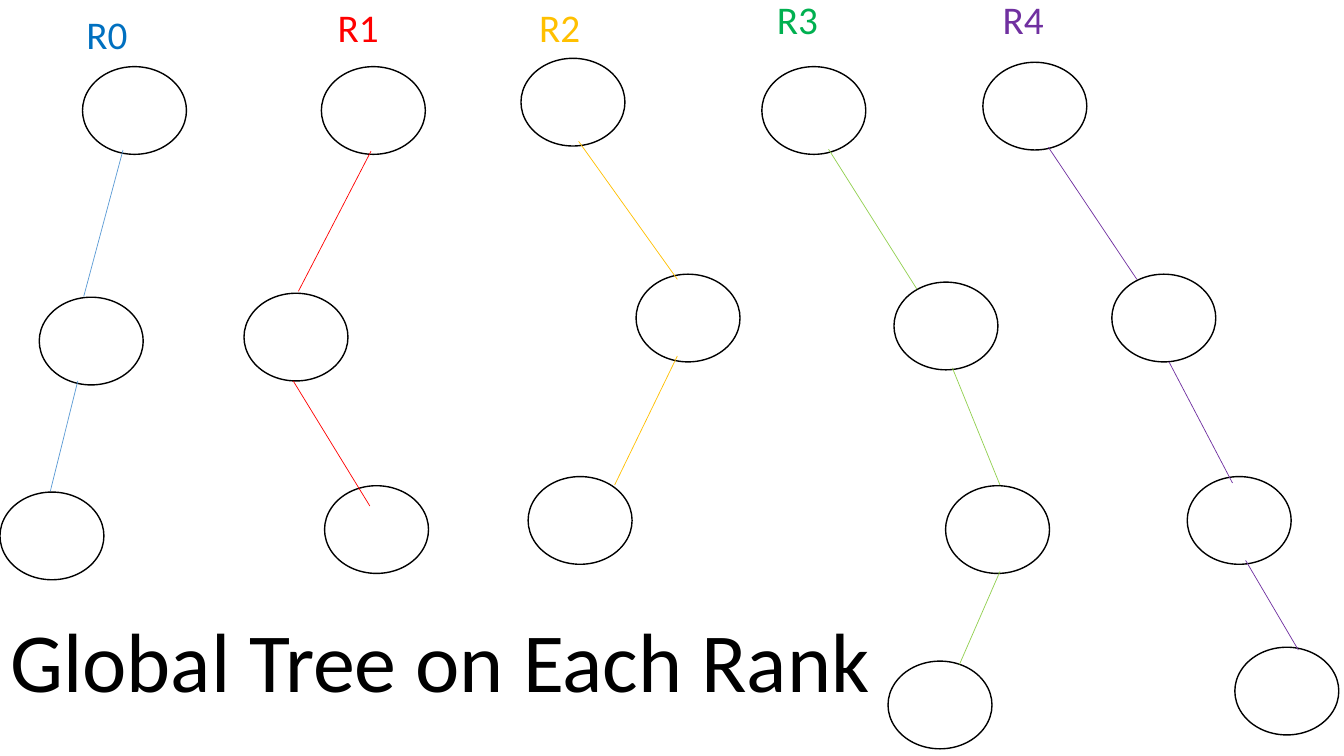
from lxml import etree
from pptx import Presentation
from pptx.dml.color import RGBColor
from pptx.enum import shapes, text
from pptx.oxml.ns import qn
from pptx.util import Cm, Pt

NODE = (2.62, 2.21)
TREES = [
    dict(box=(2.08, 1.68), name="R0", ink="0070C0", line="5B9BD5", tag=(-0.15, -1.55),
         nodes=[(0, 0), (-1.09, 5.81), (-2.08, 10.72)],
         edges=[(1.02, 2.1, 0.03, 5.79), (-0.12, 7.92, -0.81, 10.69)]),
    dict(box=(8.1, 1.68), name="R1", ink="FF0000", line="FF0000", tag=(0.16, -1.71),
         nodes=[(0, 0), (-1.95, 5.71), (0.08, 10.56)],
         edges=[(1.25, 2.13, -0.58, 5.66), (-0.71, 7.92, 1.22, 11.07)]),
    dict(box=(13.13, 1.47), name="R2", ink="FFC000", line="FFC000", tag=(0.21, -1.5),
         nodes=[(0, 0), (2.9, 5.44), (0.18, 10.54)],
         edges=[(1.45, 2.09, 3.94, 5.57), (3.94, 7.5, 2.36, 10.75)]),
    dict(box=(19.2, 1.68), name="R3", ink="00B050", line="92D050", tag=(0.13, -1.93),
         nodes=[(0, 0), (3.33, 5.43), (4.63, 10.56), (3.18, 14.98)],
         edges=[(1.68, 2.08, 3.91, 5.61), (4.8, 7.59, 6, 10.54), (6, 12.72, 4.98, 15.06)]),
    dict(box=(24.77, 1.57), name="R4", ink="7030A0", line="7030A0", tag=(0.25, -1.82),
         nodes=[(0, 0), (3.25, 5.34), (5.15, 10.44), (6.35, 14.74)],
         edges=[(1.65, 2.14, 3.88, 5.47), (4.69, 7.55, 6.29, 10.6), (6.62, 12.55, 7.95, 14.81)]),
]


def color(item, code):
    item.rgb = RGBColor.from_string(code)


def style(item, **vals):
    for key, val in vals.items():
        setattr(item, key, val)


def stroke(item, code, width):
    color(item.line.color, code)
    item.line.width = Pt(width)


def write(frame, words, size, code):
    frame.text = words
    font = frame.paragraphs[0].runs[0].font
    style(font, name="Calibri", size=Pt(size))
    color(font.color, code)


def node(slide, x, y):
    oval = slide.shapes.add_shape(
        shapes.MSO_SHAPE.OVAL, Cm(x), Cm(y), *map(Cm, NODE))
    oval.shadow.inherit = False
    oval.fill.solid()
    color(oval.fill.fore_color, "FFFFFF")
    stroke(oval, "000000", 1)


def edge(slide, ends, code):
    line = slide.shapes.add_connector(shapes.MSO_CONNECTOR.STRAIGHT, *map(Cm, ends))
    stroke(line, code, 0.5)
    etree.SubElement(line._element.spPr, qn("a:effectLst"))


def tree(slide, box, name, ink, line, tag, nodes, edges):
    x, y = box
    for dx, dy in nodes:
        node(slide, x + dx, y + dy)
    for x1, y1, x2, y2 in edges:
        edge(slide, (x + x1, y + y1, x + x2, y + y2), line)
    label = slide.shapes.add_textbox(
        Cm(x + tag[0]), Cm(y + tag[1]), Cm(7.62), Cm(1.45))
    style(label.text_frame, word_wrap=True, auto_size=text.MSO_AUTO_SIZE.SHAPE_TO_FIT_TEXT)
    write(label.text_frame, name, 28, ink)


def head(slide, box):
    title = slide.shapes.title
    for key, val in zip(("left", "top", "width", "height"), box):
        setattr(title, key, Cm(val))
    frame = title.text_frame
    write(frame, "Global Tree on Each Rank", 60, "000000")
    style(frame, word_wrap=True, auto_size=text.MSO_AUTO_SIZE.NONE,
          vertical_anchor=text.MSO_ANCHOR.BOTTOM)
    style(frame.paragraphs[0], alignment=text.PP_ALIGN.CENTER, line_spacing=0.9)


def main():
    deck = Presentation()
    style(deck, slide_width=Cm(33.87), slide_height=Cm(19.05))
    slide = deck.slides.add_slide(deck.slide_layouts[5])
    for part in TREES:
        tree(slide, **part)
    head(slide, (-3.51, 14.35, 29.21, 3.68))
    deck.save("out.pptx")


if __name__ == "__main__":
    main()
